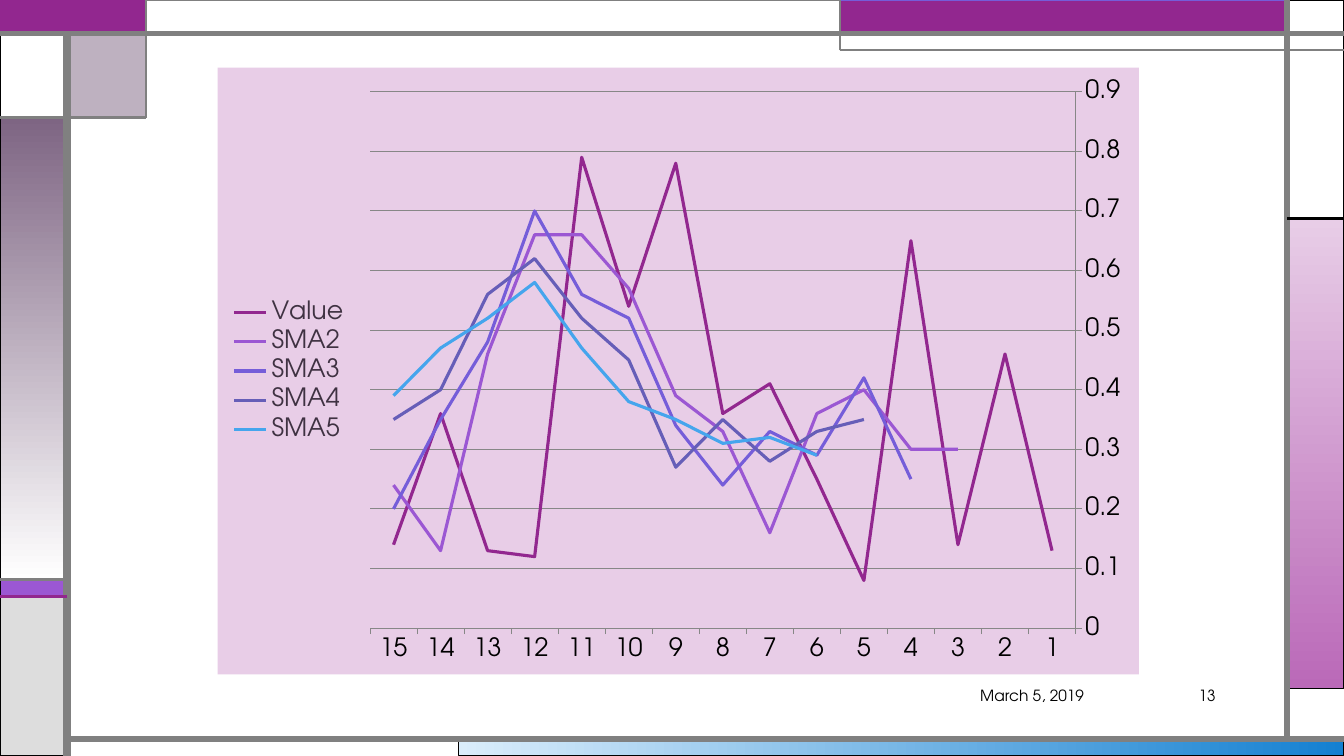
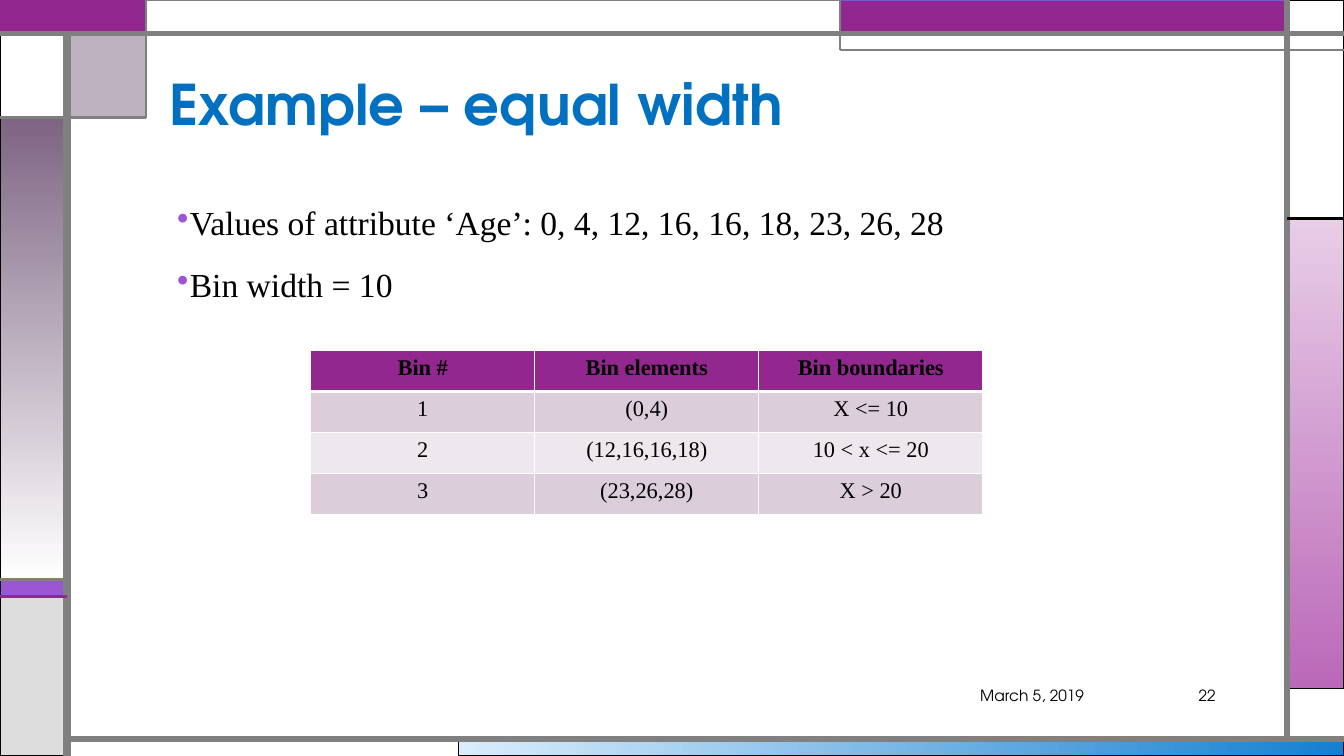
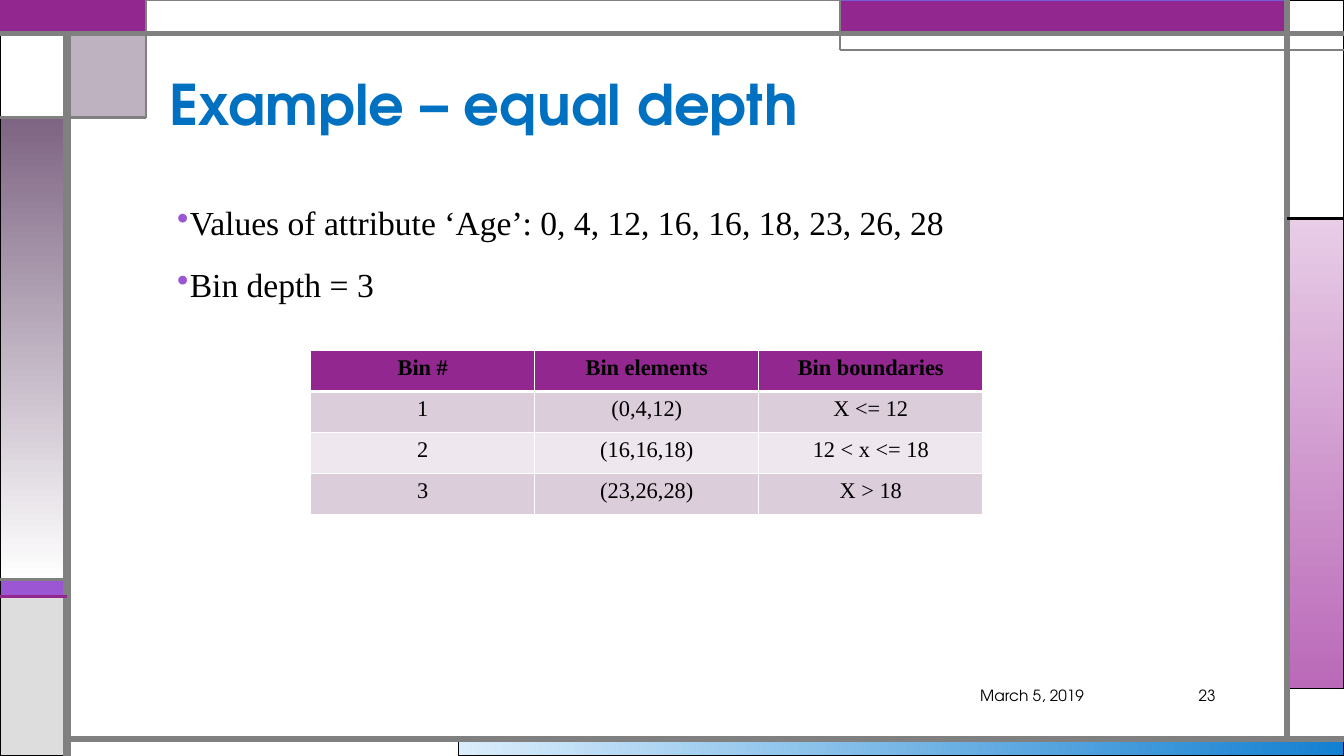
from dataclasses import dataclass

from lxml.etree import SubElement
from pptx import Presentation
from pptx.chart.data import CategoryChartData
from pptx.dml.color import RGBColor
from pptx.enum.chart import XL_CHART_TYPE as ChartType, XL_LEGEND_POSITION as LegendSide
from pptx.enum.chart import XL_TICK_MARK as TickMark
from pptx.enum.shapes import MSO_CONNECTOR as Connector, MSO_SHAPE as Shape
from pptx.enum.text import MSO_ANCHOR as Anchor, PP_ALIGN as Align
from pptx.oxml import parse_xml
from pptx.oxml.ns import nsdecls, qn
from pptx.util import Pt


@dataclass(frozen=True)
class Theme:
    # Fonts and type sizes
    heading_font: str = "TeX Gyre Adventor"
    body_font: str = "Times New Roman"
    title_size: float = 40
    body_size: float = 24
    chart_size: float = 18
    table_size: float = 16
    footer_size: float = 11
    # Colours
    text: str = "000000"
    white: str = "FFFFFF"
    title: str = "0070C0"
    legend: str = "3F3242"
    plum: str = "92278F"
    violet: str = "9B57D3"
    indigo: str = "755DD9"
    slate: str = "665EB8"
    sky: str = "45A5ED"
    mauve: str = "7E6583"
    pink: str = "E8CDE7"
    orchid: str = "BA69B8"
    pale_blue: str = "DAEDFB"
    blue: str = "1480D1"
    light_grey: str = "DDDDDD"
    grey: str = "808080"
    grid: str = "878787"
    band_dark: str = "DCCDDB"
    band_light: str = "EEE8EE"


THEME = Theme()
PAGE_WIDTH, PAGE_HEIGHT = 960, 540

# Boxes: left, top, width, height
TITLE_BOX = (114, 12, 756, 90)
BODY_BOX = (119.5, 144, 756, 330)
TABLE_BOX = (222, 250.5, 480, 117)
CHART_BOX = (155.5, 48.25, 658, 433.5)
FOOTER_BOX = (677.5, 486, 198, 21.6)


def rgb(color):
    return RGBColor.from_string(color)


def points(*lengths):
    return [Pt(length) for length in lengths]


# ---- Text ----

def write_text(para, text, *, size, font, color=THEME.text, bold=False,
               align=Align.LEFT, line_spacing=None, space_before=0):
    para.alignment = align
    para.space_before = Pt(space_before)
    if line_spacing:
        para.line_spacing = line_spacing
    span = para.add_run()
    span.text = text
    span.font.name = font
    span.font.size = Pt(size)
    span.font.bold = bold
    span.font.color.rgb = rgb(color)


def add_text_frame(page, box, anchor):
    frame = page.shapes.add_textbox(*points(*box)).text_frame
    frame.word_wrap = True
    frame.vertical_anchor = anchor
    return frame


def add_bullet(para, color, hang=9):
    props = para._p.get_or_add_pPr()
    props.set("marL", str(Pt(hang)))
    props.set("indent", str(-Pt(hang)))
    bullet_color = SubElement(props, qn("a:buClr"))
    SubElement(bullet_color, qn("a:srgbClr"), val=color)
    SubElement(props, qn("a:buChar"), char="•")


# ---- Frame of coloured blocks and rules ----

def add_block(group, edges, fill, line=THEME.text, width=0.75, alpha=None, angle=0):
    """Draw a block between edges; a pair of colours makes a gradient."""
    left, top, right, bottom = edges
    block = group.shapes.add_shape(
        Shape.RECTANGLE, *points(left, top, right - left, bottom - top))
    block.shadow.inherit = False
    block.line.color.rgb = rgb(line)
    block.line.width = Pt(width)
    if isinstance(fill, tuple):
        block.fill.gradient()
        block.fill.gradient_angle = angle
        for stop, color in zip(block.fill.gradient_stops, fill):
            stop.color.rgb = rgb(color)
    else:
        block.fill.solid()
        block.fill.fore_color.rgb = rgb(fill)
    if alpha:
        color_node = block._element.spPr.find(qn("a:solidFill"))[0]
        SubElement(color_node, qn("a:alpha"), val=str(alpha * 1000))


def add_rule(group, ends, width, color=THEME.grey):
    rule = group.shapes.add_connector(Connector.STRAIGHT, *points(*ends))
    rule.line.color.rgb = rgb(color)
    rule.line.width = Pt(width)
    SubElement(rule._element.spPr, qn("a:effectLst"))


def add_frame(page, right=PAGE_WIDTH, bottom=PAGE_HEIGHT):
    group = page.shapes.add_group_shape()
    # Grid lines that blocks and rules share
    side, corner, banner, rail = 48, 104, 600, 919.5
    top, step, square, shelf = 24, 36, 84, 156
    strip, foot, base = 414, 426, 528
    down = 270

    add_block(group, (327.5, base, right, bottom), (THEME.pale_blue, THEME.blue))
    add_block(group, (rail, shelf, right, 492), (THEME.pink, THEME.orchid), angle=down)
    add_block(group, (0, strip, side, foot), THEME.violet)
    add_block(group, (0, foot, side, bottom), THEME.light_grey)
    add_block(group, (rail, 0, right, shelf), THEME.white)
    add_block(group, (banner, 0, rail, top), THEME.plum, line=THEME.indigo)
    add_block(group, (side, top, corner, square), THEME.mauve, alpha=50)
    add_block(group, (0, square, side, strip), (THEME.mauve, THEME.white), angle=down)
    add_block(group, (0, top, side, square), THEME.white)
    add_block(group, (0, 0, corner, top), THEME.plum, line=THEME.plum, width=1.5)
    add_block(group, (corner, 0, banner, top), THEME.white, line=THEME.grey)

    add_rule(group, (side, bottom, side, top), 6)
    add_rule(group, (side, base, right, base), 4.5)
    add_rule(group, (rail, base, rail, 0), 4.5)
    add_rule(group, (0, top, right, top), 3)
    add_rule(group, (right, step, banner, step), 1.5)
    add_rule(group, (banner, step, banner, 0), 1.5)
    add_rule(group, (rail, shelf, right, shelf), 2.25, THEME.text)
    add_rule(group, (corner, 0, corner, square), 1.5)
    add_rule(group, (corner, square, 0, square), 2.25)
    add_rule(group, (side, strip, 0, strip), 2.25)
    add_rule(group, (side, foot, 0, foot), 2.25, THEME.plum)


def add_footer(page, box, number):
    left, top, width, height = box
    date_width, number_width = 104, 78
    number_left = left + width - number_width
    for text, cell_left, cell_width in (("March 5, 2019", left, date_width),
                                        (str(number), number_left, number_width)):
        frame = add_text_frame(page, (cell_left, top, cell_width, height), Anchor.MIDDLE)
        write_text(frame.paragraphs[0], text, size=THEME.footer_size,
                   font=THEME.heading_font, align=Align.RIGHT)


# ---- Content regions ----

def add_title(page, box, text):
    frame = add_text_frame(page, box, Anchor.BOTTOM)
    write_text(frame.paragraphs[0], text, size=THEME.title_size, font=THEME.heading_font,
               color=THEME.title, bold=True, line_spacing=0.9)


def add_bullets(page, box, lines):
    frame = add_text_frame(page, box, Anchor.TOP)
    for index, line in enumerate(lines):
        para = frame.add_paragraph() if index else frame.paragraphs[0]
        add_bullet(para, THEME.violet)
        write_text(para, line, size=THEME.body_size, font=THEME.body_font,
                   line_spacing=0.9, space_before=18 if index else 0)


def set_borders(cell, **widths):
    props = cell._tc.get_or_add_tcPr()
    for side in "LRTB":
        border = SubElement(props, qn(f"a:ln{side}"), w=str(Pt(widths.get(side, 1))))
        fill = SubElement(border, qn("a:solidFill"))
        SubElement(fill, qn("a:srgbClr"), val=THEME.white)


def add_bin_table(page, box, rows):
    table = page.shapes.add_table(len(rows), len(rows[0]), *points(*box)).table
    header_rule = 3
    for row_index, row in enumerate(rows):
        table.rows[row_index].height = Pt(box[3] / len(rows))
        is_header = row_index == 0
        band = THEME.band_dark if row_index % 2 else THEME.band_light
        for column_index, text in enumerate(row):
            cell = table.cell(row_index, column_index)
            set_borders(cell, B=header_rule if is_header else 1,
                        T=header_rule if row_index == 1 else 1)
            cell.fill.solid()
            cell.fill.fore_color.rgb = rgb(THEME.plum if is_header else band)
            write_text(cell.text_frame.paragraphs[0], text, size=THEME.table_size,
                       font=THEME.body_font, bold=is_header, align=Align.CENTER)


def add_average_chart(page, box, series):
    data = CategoryChartData(number_format="General")
    data.categories = [str(number) for number in range(1, 16)]
    for name, values, _ in series:
        gap = [None] * (15 - len(values))
        data.add_series(name, gap + values)
    chart = page.shapes.add_chart(ChartType.LINE, *points(*box), data).chart
    chart.has_title = False
    chart.font.name = THEME.heading_font
    chart.font.size = Pt(THEME.chart_size)
    chart.font.color.rgb = rgb(THEME.text)

    # Chart background
    background = parse_xml(
        f'<c:spPr {nsdecls("c", "a")}><a:solidFill><a:srgbClr val="{THEME.pink}"/>'
        '</a:solidFill><a:ln><a:noFill/></a:ln></c:spPr>')
    chart._chartSpace.find(qn("c:txPr")).addprevious(background)

    # Legend
    chart.has_legend = True
    chart.legend.position = LegendSide.LEFT
    chart.legend.include_in_layout = False
    chart.legend.font.name = THEME.heading_font
    chart.legend.font.size = Pt(THEME.chart_size)
    chart.legend.font.color.rgb = rgb(THEME.legend)

    # Axes
    chart.category_axis.reverse_order = True
    value_axis = chart.value_axis
    value_axis.minimum_scale, value_axis.maximum_scale = 0, 0.9
    value_axis.major_unit = 0.1
    value_axis.has_major_gridlines = True
    for axis in (chart.category_axis, value_axis):
        axis.major_tick_mark = TickMark.OUTSIDE
    for line in (chart.category_axis.format.line, value_axis.format.line,
                 value_axis.major_gridlines.format.line):
        line.color.rgb = rgb(THEME.grid)
        line.width = Pt(0.75)

    # Lines
    plot = chart.plots[0]
    plot.vary_by_categories = False
    for line, (_, _, color) in zip(plot.series, series):
        line.smooth = False
        line.format.line.color.rgb = rgb(color)
        line.format.line.width = Pt(2.25)


# ---- Types of slide ----

def add_page(deck, number):
    page = deck.slides.add_slide(deck.slide_layouts[6])
    add_frame(page)
    add_footer(page, FOOTER_BOX, number)
    return page


def add_chart_page(deck, number, series):
    add_average_chart(add_page(deck, number), CHART_BOX, series)


def add_bin_page(deck, number, title, rule, bins):
    page = add_page(deck, number)
    add_title(page, TITLE_BOX, title)
    add_bullets(page, BODY_BOX, [
        "Values of attribute ‘Age’: 0, 4, 12, 16, 16, 18, 23, 26, 28", rule])
    rows = [("Bin #", "Bin elements", "Bin boundaries")]
    rows += [(str(index), *row) for index, row in enumerate(bins, 1)]
    add_bin_table(page, TABLE_BOX, rows)


# Each series ends at category 15; shorter ones start later
MOVING_AVERAGES = [
    ("Value", [0.13, 0.46, 0.14, 0.65, 0.08, 0.25, 0.41, 0.36, 0.78, 0.54,
               0.79, 0.12, 0.13, 0.36, 0.14], THEME.plum),
    ("SMA2", [0.3, 0.3, 0.4, 0.36, 0.16, 0.33, 0.39, 0.57, 0.66, 0.66,
              0.46, 0.13, 0.24], THEME.violet),
    ("SMA3", [0.25, 0.42, 0.29, 0.33, 0.24, 0.34, 0.52, 0.56, 0.7, 0.48,
              0.35, 0.2], THEME.indigo),
    ("SMA4", [0.35, 0.33, 0.28, 0.35, 0.27, 0.45, 0.52, 0.62, 0.56, 0.4,
              0.35], THEME.slate),
    ("SMA5", [0.29, 0.32, 0.31, 0.35, 0.38, 0.47, 0.58, 0.52, 0.47, 0.39], THEME.sky),
]


def main():
    deck = Presentation()
    deck.slide_width, deck.slide_height = points(PAGE_WIDTH, PAGE_HEIGHT)
    add_chart_page(deck, 13, MOVING_AVERAGES)
    add_bin_page(deck, 22, "Example – equal width", "Bin width = 10", [
        ("(0,4)", "X <= 10"), ("(12,16,16,18)", "10 < x <= 20"), ("(23,26,28)", "X > 20")])
    add_bin_page(deck, 23, "Example – equal depth", "Bin depth = 3", [
        ("(0,4,12)", "X <= 12"), ("(16,16,18)", "12 < x <= 18"), ("(23,26,28)", "X > 18")])
    deck.save("out.pptx")


if __name__ == "__main__":
    main()
